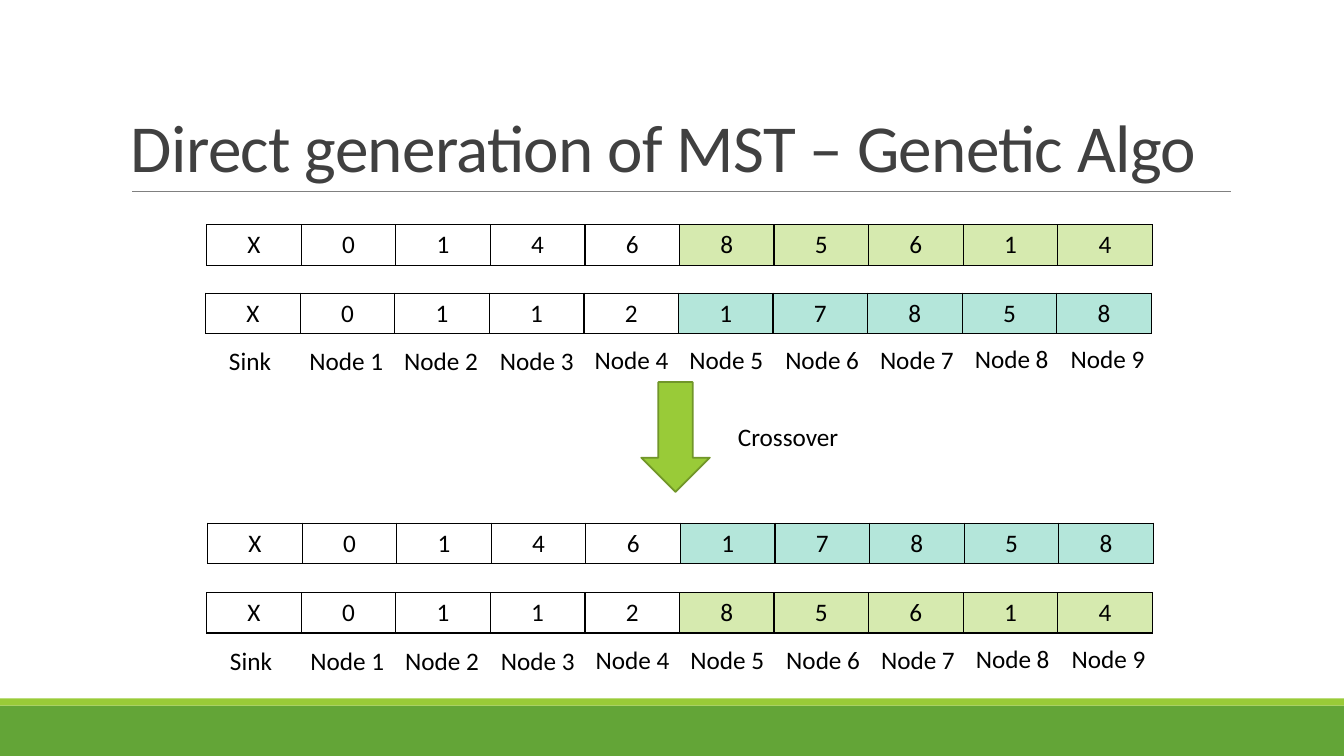
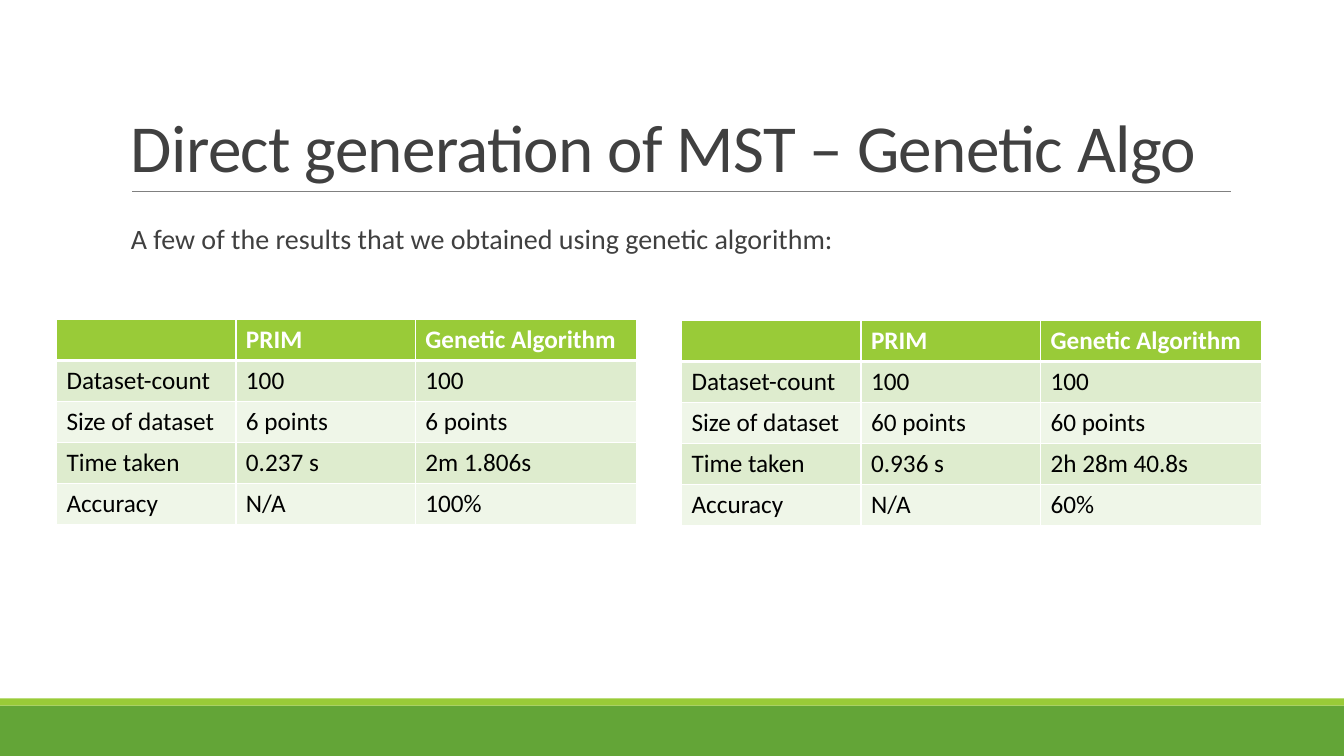
from lxml import etree
from pptx import Presentation
from pptx.dml.color import RGBColor
from pptx.enum.shapes import MSO_CONNECTOR, MSO_SHAPE
from pptx.enum.text import MSO_ANCHOR, PP_ALIGN
from pptx.oxml.ns import qn
from pptx.util import Inches, Pt

RECT, DOWN = MSO_SHAPE.RECTANGLE, MSO_SHAPE.DOWN_ARROW
LINE = MSO_CONNECTOR.STRAIGHT
TOP, BOTTOM = MSO_ANCHOR.TOP, MSO_ANCHOR.BOTTOM
LEFT, CENTER = PP_ALIGN.LEFT, PP_ALIGN.CENTER

FONT = "Calibri"
WHITE, BLACK, GRAY, RULE = "FFFFFF", "000000", "404040", "808080"
GREEN, LIME, EDGE = "63A537", "99CB38", "719629"
PALE, MINT = "D6EAAF", "B4E6DA"
BANDS = ("DEECCE", "EFF6E8")
TITLE = "Direct generation of MST – Genetic Algo"


def color(text):
    return RGBColor.from_string(text)


class Deck:
    """Holds the style and the current slide."""

    def __init__(self):
        self.prs = Presentation()
        self.prs.slide_width = Inches(13.33)
        self.prs.slide_height = Inches(7.5)
        self.slide = None

    def start(self, title):
        """Add a slide with its bands, rule and title."""
        self.slide = self.prs.slides.add_slide(self.prs.slide_layouts[6])
        self.shape(RECT, 0, 7, 13.33, 0.5, GREEN)
        self.shape(RECT, 0, 6.93, 13.33, 0.07, LIME)
        self.rule(1.31, 1.9, 12.21)
        run = self.text(title, 1.2, 0.31, 11, 1.59, size=48, ink=GRAY,
                        anchor=BOTTOM, lead=0.85)
        run.font._element.set("spc", "-50")

    def shape(self, kind, x, y, w, h, fill, edge=None):
        box = self.slide.shapes.add_shape(
            kind, Inches(x), Inches(y), Inches(w), Inches(h))
        box.shadow.inherit = False
        box.fill.solid()
        box.fill.fore_color.rgb = color(fill)
        if edge:
            box.line.color.rgb = color(edge)
            box.line.width = Pt(1.25)
        else:
            box.line.fill.background()

    def rule(self, x, y, end):
        line = self.slide.shapes.add_connector(
            LINE, Inches(x), Inches(y), Inches(end), Inches(y))
        line.line.color.rgb = color(RULE)
        line.line.width = Pt(0.5)
        etree.SubElement(line._element.spPr, qn("a:effectLst"))

    def run(self, para, text, size=18, ink=BLACK, bold=False):
        run = para.add_run()
        run.text = text
        font = run.font
        font.name, font.size, font.bold = FONT, Pt(size), bold
        font.color.rgb = color(ink)
        return run

    def text(self, text, x, y, w, h=0.4, size=18, ink=BLACK, align=LEFT,
             anchor=TOP, lead=None, wrap=True):
        box = self.slide.shapes.add_textbox(
            Inches(x), Inches(y), Inches(w), Inches(h))
        frame = box.text_frame
        frame.word_wrap = wrap
        frame.vertical_anchor = anchor
        para = frame.paragraphs[0]
        para.alignment = align
        para.line_spacing = lead
        return self.run(para, text, size, ink)

    def table(self, x, y, w, h, rows, cols):
        table = self.slide.shapes.add_table(
            rows, cols, Inches(x), Inches(y), Inches(w), Inches(h)).table
        table.first_row = table.horz_banding = False
        return table

    def cell(self, cell, text, fill, edge, ink=BLACK, bold=False,
             align=LEFT, sides=(1, 1, 1, 1)):
        """Fill a cell; sides are border widths: left, right, top, bottom."""
        cell.fill.solid()
        cell.fill.fore_color.rgb = color(fill)
        para = cell.text_frame.paragraphs[0]
        para.alignment = align
        if text:
            self.run(para, text, ink=ink, bold=bold)
        props = cell._tc.get_or_add_tcPr()
        for spot, (side, width) in enumerate(zip("LRTB", sides)):
            line = etree.Element(qn(f"a:ln{side}"), w=str(Pt(width)))
            solid = etree.SubElement(line, qn("a:solidFill"))
            etree.SubElement(solid, qn("a:srgbClr"), val=edge)
            props.insert(spot, line)

    def genes(self, x, y, code, tint):
        """Draw one chromosome, with its second half tinted."""
        table = self.table(x, y, 9.38, 0.4, 1, len(code))
        for i, gene in enumerate(code):
            fill = WHITE if i < len(code) // 2 else tint
            self.cell(table.cell(0, i), gene, fill, BLACK, align=CENTER)

    def names(self, x, y):
        """Label the ten genes; the labels rise slightly to the right."""
        self.text("Sink", x, y, 0.94, align=CENTER, wrap=False)
        for i in range(1, 10):
            self.text(f"Node {i}", x + 0.02 + 0.94 * i + 0.01 * (i // 3),
                      y - 0.01 * (i // 4), 0.94, wrap=False)

    def results(self, x, y, rows):
        """Draw a comparison with a header and banded rows."""
        table = self.table(x, y, 5.75, 2.03, len(rows), 3)
        for col, width in zip(table.columns, (1.78, 1.78, 2.19)):
            col.width = Inches(width)
        for r, row in enumerate(rows):
            head = r == 0
            fill = LIME if head else BANDS[(r - 1) % 2]
            sides = (1, 1, 3 if r == 1 else 1, 3 if head else 1)
            for c, text in enumerate(row):
                self.cell(table.cell(r, c), text, fill, WHITE,
                          WHITE if head else BLACK, head, sides=sides)


def main():
    deck = Deck()

    # Crossover of two parents into two children
    deck.start(TITLE)
    for x, y, code, tint in (
            (2.05, 2.23, "X014685614", PALE),
            (2.04, 2.91, "X011217858", MINT),
            (2.06, 5.19, "X014617858", MINT),
            (2.05, 5.88, "X011285614", PALE)):
        deck.genes(x, y, code, tint)
    deck.names(2.01, 3.38)
    deck.names(2.02, 6.35)
    deck.shape(DOWN, 6.36, 3.79, 0.68, 1.09, LIME, EDGE)
    deck.text("Crossover", 7.22, 4.13, 1.21, wrap=False)

    # Results for small and large datasets
    deck.start(TITLE)
    deck.text("A few of the results that we obtained using genetic algorithm:",
              1.2, 2.19, 11, 0.45, size=20, ink=GRAY, lead=0.9)
    for x, y, size, prim, gene, score in (
            (0.56, 3.17, "6 points", "0.237 s", "2m 1.806s", "100%"),
            (6.76, 3.18, "60 points", "0.936 s", "2h 28m 40.8s", "60%")):
        deck.results(x, y, (
            ("", "PRIM", "Genetic Algorithm"),
            ("Dataset-count", "100", "100"),
            ("Size of dataset", size, size),
            ("Time taken", prim, gene),
            ("Accuracy", "N/A", score)))

    deck.prs.save("out.pptx")


if __name__ == "__main__":
    main()
